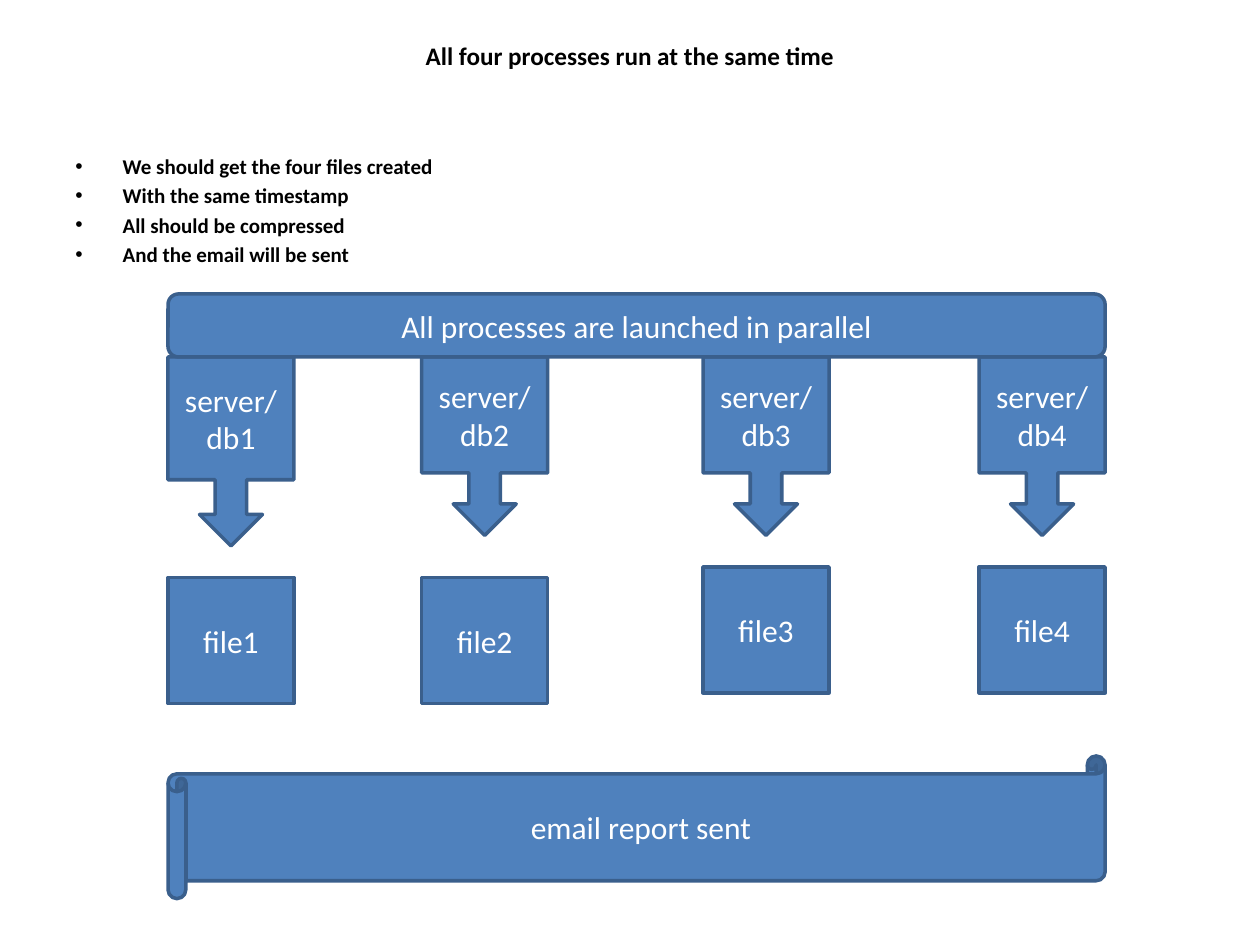
from dataclasses import dataclass

from lxml import etree
from pptx import Presentation
from pptx.dml.color import RGBColor
from pptx.enum.shapes import MSO_SHAPE
from pptx.enum.text import MSO_ANCHOR, PP_ALIGN
from pptx.oxml.ns import qn
from pptx.util import Pt

ROUNDED = MSO_SHAPE.ROUNDED_RECTANGLE
RECTANGLE = MSO_SHAPE.RECTANGLE
CALLOUT = MSO_SHAPE.DOWN_ARROW_CALLOUT
SCROLL = MSO_SHAPE.HORIZONTAL_SCROLL
CENTER = PP_ALIGN.CENTER
MIDDLE = MSO_ANCHOR.MIDDLE


@dataclass(frozen=True)
class Theme:
    font: str = "Calibri"
    ink: RGBColor = RGBColor(0x00, 0x00, 0x00)
    label: RGBColor = RGBColor(0xFF, 0xFF, 0xFF)
    fill: RGBColor = RGBColor(0x4F, 0x81, 0xBD)
    outline: RGBColor = RGBColor(0x3A, 0x5F, 0x8C)
    outline_width: float = 2
    title_size: float = 14.4
    bullet_size: float = 12
    label_size: float = 18


@dataclass(frozen=True)
class Box:
    left: float
    top: float
    width: float
    height: float

    def lengths(self) -> tuple:
        return Pt(self.left), Pt(self.top), Pt(self.width), Pt(self.height)


@dataclass(frozen=True)
class Process:
    left: float
    callout_height: float
    file_top: float


THEME = Theme()
TITLE = "All four processes run at the same time"
EXPECTATIONS = (
    "We should get the four files created",
    "With the same timestamp",
    "All should be compressed",
    "And the email will be sent",
)
PROCESSES = (
    Process(96, 108, 330),
    Process(241, 102, 330),
    Process(401.75, 102, 324),
    Process(559.5, 102, 324),
)
COLUMN_WIDTH = 72
CALLOUT_TOP = 204
BAND_LEFT, BAND_WIDTH = 96, 535.5
BULLET_INDENT = 27


def add_run(paragraph, text: str, size: float, color: RGBColor, bold: bool = False) -> None:
    run = paragraph.add_run()
    run.text = text
    run.font.name = THEME.font
    run.font.size = Pt(size)
    run.font.color.rgb = color
    run.font.bold = bold


def add_text_frame(slide, box: Box):
    frame = slide.shapes.add_textbox(*box.lengths()).text_frame
    frame.word_wrap = True
    return frame


def add_bullet(paragraph) -> None:
    properties = paragraph._p.get_or_add_pPr()
    properties.set("marL", str(Pt(BULLET_INDENT)))
    properties.set("indent", str(-Pt(BULLET_INDENT)))
    # Space before is 20 percent of the text size
    spacing = etree.SubElement(properties, qn("a:spcBef"))
    etree.SubElement(spacing, qn("a:spcPct")).set("val", "20000")
    etree.SubElement(properties, qn("a:buFont")).set("typeface", "Arial")
    etree.SubElement(properties, qn("a:buChar")).set("char", "•")


def add_block(slide, kind: MSO_SHAPE, box: Box, text: str) -> None:
    block = slide.shapes.add_shape(kind, *box.lengths())
    block.shadow.inherit = False
    block.fill.solid()
    block.fill.fore_color.rgb = THEME.fill
    block.line.color.rgb = THEME.outline
    block.line.width = Pt(THEME.outline_width)
    frame = block.text_frame
    frame.word_wrap = True
    frame.vertical_anchor = MIDDLE
    paragraph = frame.paragraphs[0]
    paragraph.alignment = CENTER
    add_run(paragraph, text, THEME.label_size, THEME.label)


def main() -> None:
    deck = Presentation()
    deck.slide_width, deck.slide_height = Pt(720), Pt(540)
    slide = deck.slides.add_slide(deck.slide_layouts[6])

    # Title
    title = add_text_frame(slide, Box(36, 21.6, 648, 20))
    title.vertical_anchor = MIDDLE
    title.paragraphs[0].alignment = CENTER
    add_run(title.paragraphs[0], TITLE, THEME.title_size, THEME.ink, bold=True)

    # Expected results
    results = add_text_frame(slide, Box(36, 84, 648, 444))
    for index, expectation in enumerate(EXPECTATIONS):
        paragraph = results.add_paragraph() if index else results.paragraphs[0]
        add_bullet(paragraph)
        add_run(paragraph, expectation, THEME.bullet_size, THEME.ink, bold=True)

    # One server and one file per process
    for number, process in enumerate(PROCESSES, start=1):
        server = Box(process.left, CALLOUT_TOP, COLUMN_WIDTH, process.callout_height)
        output = Box(process.left, process.file_top, COLUMN_WIDTH, COLUMN_WIDTH)
        add_block(slide, CALLOUT, server, f"server/db{number}")
        add_block(slide, RECTANGLE, output, f"file{number}")

    # Launch band above, report below
    launch = Box(BAND_LEFT, 168, BAND_WIDTH, 36)
    report = Box(BAND_LEFT, 432, BAND_WIDTH, 81.5)
    add_block(slide, ROUNDED, launch, "All processes are launched in parallel")
    add_block(slide, SCROLL, report, "email report sent")

    deck.save("out.pptx")


if __name__ == "__main__":
    main()
